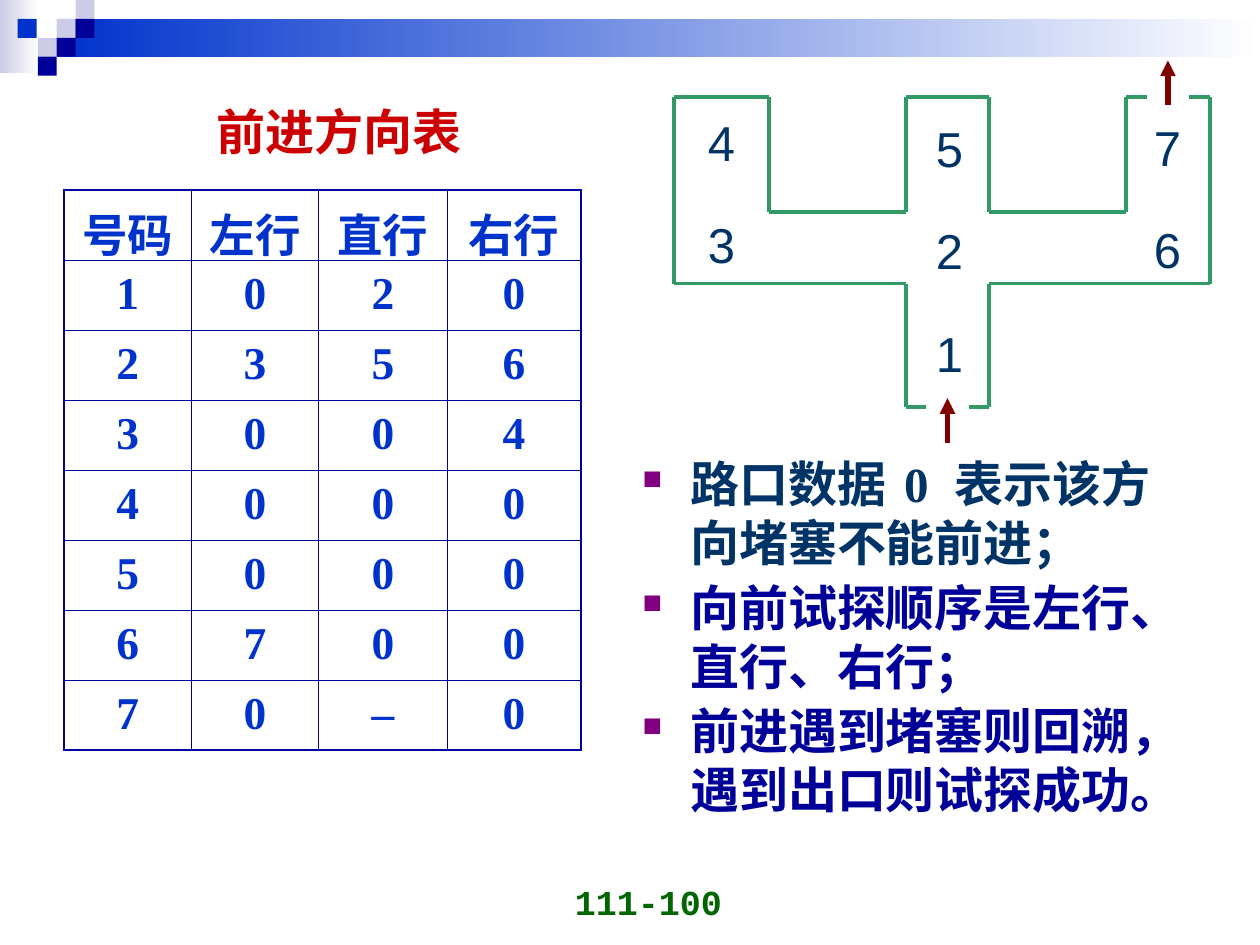
import itertools

import pptx
import pptx.dml.color
import pptx.enum.shapes
import pptx.enum.text
import pptx.oxml
import pptx.oxml.ns
import pptx.util
from pptx.util import Inches

ALIGN = pptx.enum.text.PP_ALIGN
ANCHOR = pptx.enum.text.MSO_ANCHOR
NAVY, BLUE, LAVENDER = "000099", "0033CC", "CCCCE6"
TEAL, GREEN, MAROON = "003366", "339966", "800000"
TILE = 0.15
TILES = [(0.45, 0.15, LAVENDER), (0.6, 0, LAVENDER), (0.6, 0.15, NAVY), (0.3, 0.3, LAVENDER),
         (0.14, 0.15, BLUE), (0.45, 0.3, NAVY), (0.3, 0.45, NAVY)]
WALLS = [
    [(7.35, 3.23), (7.19, 3.23), (7.19, 2.25), (5.35, 2.25), (5.35, 0.77), (6.1, 0.77),
     (6.1, 1.68), (7.19, 1.68), (7.19, 0.77), (7.85, 0.77), (7.85, 1.68), (8.94, 1.68),
     (8.94, 0.77), (9.1, 0.77)],
    [(9.44, 0.77), (9.6, 0.77), (9.6, 2.25), (7.85, 2.25), (7.85, 3.23), (7.69, 3.23)],
]
ARROWS = [((7.52, 3.52), (7.52, 3.16)), ((9.27, 0.83), (9.27, 0.48))]
CROSSINGS = [(5.52, 0.84, 1.37, "43"), (7.33, 0.89, 2.17, "521"), (9.06, 0.88, 1.37, "76")]
DIRECTIONS = [
    ["号码", "左行", "直行", "右行"],
    ["1", "0", "2", "0"],
    ["2", "3", "5", "6"],
    ["3", "0", "0", "4"],
    ["4", "0", "0", "0"],
    ["5", "0", "0", "0"],
    ["6", "7", "0", "0"],
    ["7", "0", "–", "0"],
]
RULES = [
    (["路口数据", " 0 ", "表示该方向堵塞不能前进；"], TEAL),
    (["向前试探顺序是左行、直行、右行；"], NAVY),
    (["前进遇到堵塞则回溯，遇到出口则试探成功。"], NAVY),
]


def color(value):
    """Return the colour for a hex string."""
    return pptx.dml.color.RGBColor.from_string(value)


def element(xml):
    """Parse one drawing element written with the a: prefix."""
    name, rest = xml[:-2].partition(" ")[::2]
    return pptx.oxml.parse_xml(f"{name} {pptx.oxml.ns.nsdecls('a')} {rest}/>")


def write(paragraph, text, size=28, font="Arial", fill=TEAL, bold=False, align=None, before=0):
    """Add a formatted run to a paragraph and return it."""
    run = paragraph.add_run()
    run.text = text
    run.font.size = pptx.util.Pt(size)
    run.font.name = font
    run.font.bold = bold
    run.font.color.rgb = color(fill)
    if align is not None:
        paragraph.alignment = align
    if before:
        paragraph.space_before = pptx.util.Pt(before)
    return run


def add_text_frame(slide, left, top, width, height, wrap=True, anchor=ANCHOR.TOP):
    """Add a text box and return its frame."""
    box = slide.shapes.add_textbox(Inches(left), Inches(top), Inches(width), Inches(height))
    box.text_frame.word_wrap = wrap
    box.text_frame.vertical_anchor = anchor
    return box.text_frame


def next_paragraph(frame, index):
    """Return the first paragraph of a frame, or a new one after it."""
    return frame.add_paragraph() if index else frame.paragraphs[0]


def add_rectangle(slide, left, top, width, height, *fills):
    """Add a borderless rectangle with one colour or a left-to-right gradient."""
    shape = slide.shapes.add_shape(pptx.enum.shapes.MSO_SHAPE.RECTANGLE, Inches(left),
                                   Inches(top), Inches(width), Inches(height))
    shape.shadow.inherit = False
    shape.line.fill.background()
    if len(fills) == 1:
        shape.fill.solid()
        shape.fill.fore_color.rgb = color(fills[0])
    else:
        shape.fill.gradient()
        shape.fill.gradient_angle = 0
        for stop, fill in zip(shape.fill.gradient_stops, fills):
            stop.color.rgb = color(fill)


def add_line(slide, start, end, fill, width, arrow=False):
    """Add a straight line, with an arrowhead at its end if asked."""
    line = slide.shapes.add_connector(pptx.enum.shapes.MSO_CONNECTOR.STRAIGHT,
                                      *map(Inches, start + end))
    line.line.color.rgb = color(fill)
    line.line.width = pptx.util.Pt(width)
    if arrow:
        line.line._get_or_add_ln().append(element('<a:tailEnd type="triangle"/>'))
    line._element.spPr.append(element("<a:effectLst />"))


def add_header(slide):
    """Add the gradient bars and small tiles along the top."""
    add_rectangle(slide, 0, 0, 0.31, 0.58, LAVENDER, "FFFFFF")
    add_rectangle(slide, 0.45, 0.15, 9.55, 0.3, BLUE, "FFFFFF")
    for left, top, fill in TILES:
        add_rectangle(slide, left, top, TILE, TILE, fill)


def add_maze(slide):
    """Add the maze walls, its crossing numbers and the entry and exit arrows."""
    for wall in WALLS:
        for start, end in itertools.pairwise(wall):
            add_line(slide, start, end, GREEN, 2.25)
    for left, top, height, numbers in CROSSINGS:
        frame = add_text_frame(slide, left, top, 0.42, height)
        for index, number in enumerate(numbers):
            write(next_paragraph(frame, index), number, before=25 if index else 0)
    for start, end in ARROWS:
        add_line(slide, start, end, MAROON, 3, arrow=True)


def set_borders(cell, widths):
    """Draw the left, right, top and bottom borders of a cell."""
    properties = cell._tc.get_or_add_tcPr()
    for position, (side, width) in enumerate(zip("LRTB", widths)):
        border = element(f'<a:ln{side} w="{pptx.util.Pt(width)}"/>')
        fill = element("<a:solidFill />")
        fill.append(element(f'<a:srgbClr val="{NAVY}"/>'))
        border.append(fill)
        properties.insert(position, border)


def add_direction_table(slide):
    """Add the table of moves from each crossing."""
    rows, columns = len(DIRECTIONS), len(DIRECTIONS[0])
    table = slide.shapes.add_table(rows, columns, Inches(0.51), Inches(1.51),
                                   Inches(4.1), Inches(4.44)).table
    for column, width in zip(table.columns, (1.01, 1.01, 1.02, 1.06)):
        column.width = Inches(width)
    for row, values in enumerate(DIRECTIONS):
        for column, value in enumerate(values):
            cell = table.cell(row, column)
            cell.fill.background()
            paragraph = cell.text_frame.paragraphs[0]
            paragraph.line_spacing = 1.05
            write(paragraph, value, size=26, fill=BLUE, bold=True, align=ALIGN.CENTER,
                  font="Times New Roman" if row else "Arial")
            outer = (column == 0, column == columns - 1, row == 0, row == rows - 1)
            set_borders(cell, [1.08 if edge else 0.45 for edge in outer])


def add_rules(slide):
    """Add the bulleted rules for moving through the maze."""
    frame = add_text_frame(slide, 5, 3.55, 4.57, 3)
    for index, (parts, fill) in enumerate(RULES):
        paragraph = next_paragraph(frame, index)
        properties = paragraph._p.get_or_add_pPr()
        properties.set("marL", str(Inches(0.38)))
        properties.set("indent", str(Inches(-0.38)))
        bullet_color = element("<a:buClr />")
        bullet_color.append(element('<a:srgbClr val="800080"/>'))
        properties.append(bullet_color)
        properties.append(element('<a:buSzPct val="55000"/>'))
        properties.append(element('<a:buChar char="■"/>'))
        for part in parts:
            run = write(paragraph, part, font="Times New Roman", fill=fill, bold=True,
                        before=3.5 if index else 0)
            if part.startswith(" "):
                run.font._element.set("spc", "400")


def main():
    """Build the slide and save it."""
    presentation = pptx.Presentation()
    presentation.slide_width, presentation.slide_height = Inches(10), Inches(7.5)
    slide = presentation.slides.add_slide(presentation.slide_layouts[6])
    add_header(slide)
    number = add_text_frame(slide, 3.5, 6.87, 2.33, 0.5, anchor=ANCHOR.BOTTOM)
    write(number.paragraphs[0], "111-100", size=20, font="Courier New", fill="006600",
          bold=True, align=ALIGN.RIGHT)
    add_maze(slide)
    add_rules(slide)
    add_direction_table(slide)
    title = add_text_frame(slide, 1.62, 0.76, 2.14, 0.57, wrap=False)
    write(title.paragraphs[0], "前进方向表", fill="CC0000", bold=True)
    presentation.save("out.pptx")


if __name__ == "__main__":
    main()
